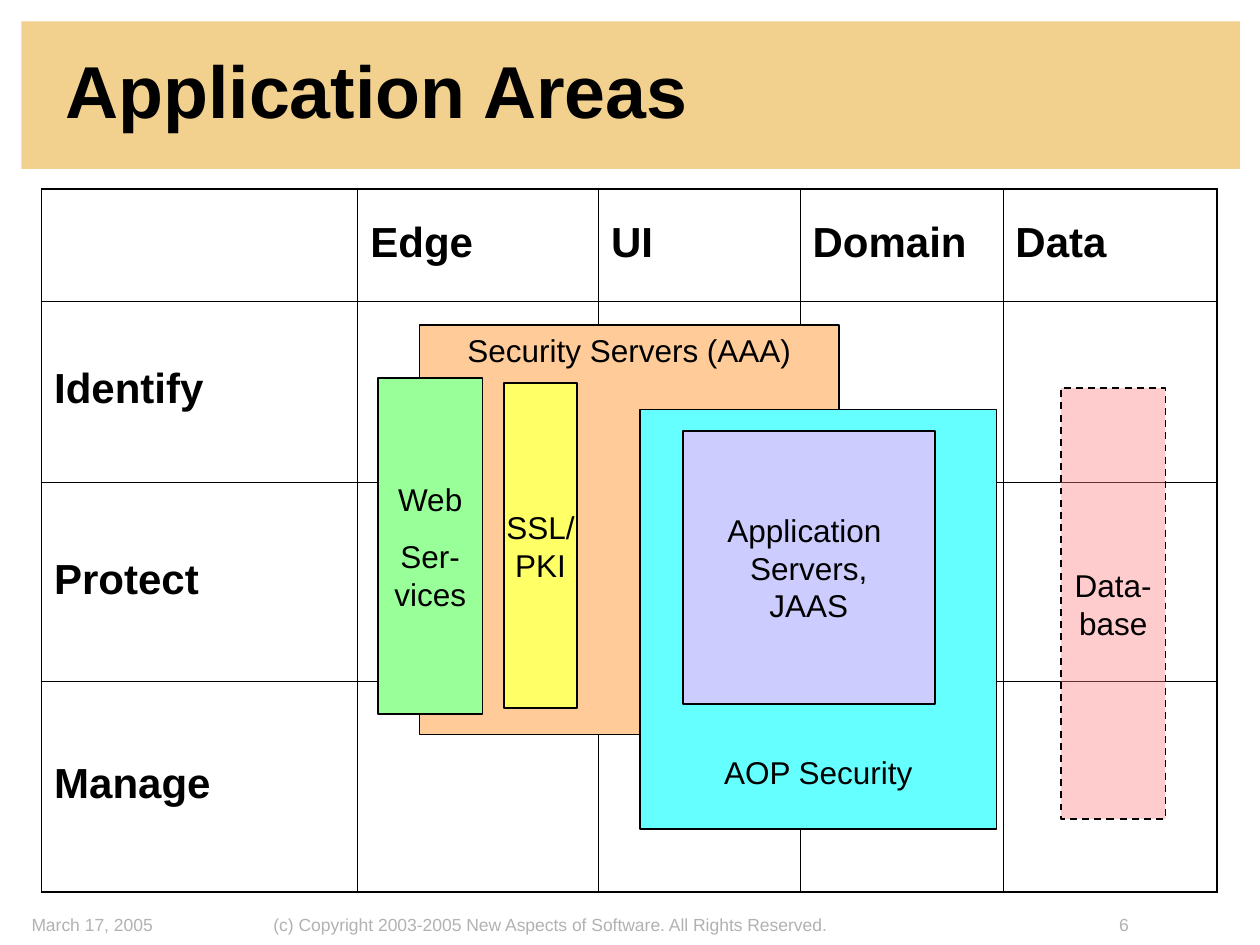
from dataclasses import dataclass

from lxml.etree import SubElement
from pptx import Presentation
from pptx.dml.color import RGBColor
from pptx.enum.dml import MSO_LINE
from pptx.enum.shapes import MSO_SHAPE
from pptx.enum.text import MSO_ANCHOR, MSO_AUTO_SIZE, PP_ALIGN
from pptx.oxml.ns import qn
from pptx.util import Inches, Pt


@dataclass(frozen=True)
class Theme:
    font: str = "Arial"
    ink: str = "000000"
    muted: str = "B2B2B2"
    band: str = "F2D18E"
    orange: str = "FFCC99"
    green: str = "99FF99"
    yellow: str = "FFFF66"
    cyan: str = "66FFFF"
    lavender: str = "CCCCFF"
    pink: str = "FF7C80"
    title_size: float = 42
    heading_size: float = 24
    label_size: float = 18
    footer_size: float = 10
    line_spacing: float = 0.85
    paragraph_gap: float = 11.2
    outer_border: float = 1.08
    inner_border: float = 0.45


class SlideBuilder:
    def __init__(self, slide, theme):
        self.slide = slide
        self.theme = theme

    def format_text(self, text_frame, size, color, bold=False, alignment=PP_ALIGN.LEFT):
        for paragraph in text_frame.paragraphs:
            paragraph.alignment = alignment
            for run in paragraph.runs:
                run.font.name = self.theme.font
                run.font.size = Pt(size)
                run.font.bold = bold
                run.font.color.rgb = RGBColor.from_string(color)

    def add_band(self, left, top, width, height):
        band = self.slide.shapes.add_shape(
            MSO_SHAPE.RECTANGLE, Inches(left), Inches(top), Inches(width), Inches(height))
        band.shadow.inherit = False
        band.fill.solid()
        band.fill.fore_color.rgb = RGBColor.from_string(self.theme.band)
        band.line.fill.background()
        self.slide.shapes.element.insert(2, band.element)

    def set_title(self, text, left, top, width, height):
        title = self.slide.shapes.title
        title.left, title.top = Inches(left), Inches(top)
        title.width, title.height = Inches(width), Inches(height)
        text_frame = title.text_frame
        text_frame.text = text
        text_frame.auto_size = MSO_AUTO_SIZE.NONE
        text_frame.vertical_anchor = MSO_ANCHOR.MIDDLE
        text_frame.paragraphs[0].line_spacing = self.theme.line_spacing
        self.format_text(text_frame, self.theme.title_size, self.theme.ink, bold=True)

    def set_border(self, cell, side, width):
        properties = cell._tc.get_or_add_tcPr()
        line = SubElement(properties, qn(f"a:ln{side}"), w=str(Pt(width)))
        fill = SubElement(line, qn("a:solidFill"))
        SubElement(fill, qn("a:srgbClr"), val=self.theme.ink)

    def add_grid(self, left, top, column_widths, row_heights, column_names, row_names):
        row_count, column_count = len(row_heights), len(column_widths)
        table = self.slide.shapes.add_table(
            row_count, column_count, Inches(left), Inches(top),
            Inches(sum(column_widths)), Inches(sum(row_heights))).table
        table.first_row = False
        table.horz_banding = False
        for column, width in zip(table.columns, column_widths):
            column.width = Inches(width)
        for row, height in zip(table.rows, row_heights):
            row.height = Inches(height)
        for column, name in enumerate(column_names, 1):
            table.cell(0, column).text = name
        for row, name in enumerate(row_names, 1):
            table.cell(row, 0).text = name
        for row in range(row_count):
            for column in range(column_count):
                cell = table.cell(row, column)
                outer_sides = {
                    "L": column == 0,
                    "R": column == column_count - 1,
                    "T": row == 0,
                    "B": row == row_count - 1,
                }
                for side, outer in outer_sides.items():
                    width = self.theme.outer_border if outer else self.theme.inner_border
                    self.set_border(cell, side, width)
                cell.fill.background()
                cell.vertical_anchor = MSO_ANCHOR.MIDDLE
                cell.text_frame.paragraphs[0].line_spacing = self.theme.line_spacing
                self.format_text(
                    cell.text_frame, self.theme.heading_size, self.theme.ink, bold=True)

    def add_area(self, text, left, top, width, height, color,
                 anchor=MSO_ANCHOR.MIDDLE, bottom_margin=0.05, opacity=None, dashed=False):
        area = self.slide.shapes.add_shape(
            MSO_SHAPE.RECTANGLE, Inches(left), Inches(top), Inches(width), Inches(height))
        area.shadow.inherit = False
        area.fill.solid()
        area.fill.fore_color.rgb = RGBColor.from_string(color)
        if opacity is not None:
            fill_color = next(area.element.spPr.iter(qn("a:srgbClr")))
            SubElement(fill_color, qn("a:alpha"), val=str(opacity * 1000))
        area.line.color.rgb = RGBColor.from_string(self.theme.ink)
        area.line.width = Pt(1)
        if dashed:
            area.line.dash_style = MSO_LINE.DASH
        text_frame = area.text_frame
        text_frame.text = text
        text_frame.word_wrap = False
        text_frame.vertical_anchor = anchor
        text_frame.margin_bottom = Inches(bottom_margin)
        for paragraph in text_frame.paragraphs[1:]:
            paragraph.space_before = Pt(self.theme.paragraph_gap)
        self.format_text(
            text_frame, self.theme.label_size, self.theme.ink, alignment=PP_ALIGN.CENTER)

    def add_footer(self, text, left, width, alignment=PP_ALIGN.LEFT):
        footer = self.slide.shapes.add_textbox(
            Inches(left), Inches(7.17), Inches(width), Inches(0.25))
        text_frame = footer.text_frame
        text_frame.text = text
        text_frame.word_wrap = True
        text_frame.vertical_anchor = MSO_ANCHOR.BOTTOM
        text_frame.margin_left = text_frame.margin_right = 0
        text_frame.margin_top = text_frame.margin_bottom = 0
        self.format_text(
            text_frame, self.theme.footer_size, self.theme.muted, alignment=alignment)


def main():
    presentation = Presentation()
    presentation.slide_width = Inches(10)
    presentation.slide_height = Inches(7.5)
    theme = Theme()
    slide = presentation.slides.add_slide(presentation.slide_layouts[5])
    builder = SlideBuilder(slide, theme)

    builder.add_band(0.17, 0.17, 9.67, 1.17)
    builder.set_title("Application Areas", 0.42, 0.24, 8.75, 1.05)
    builder.add_grid(
        0.33, 1.5, [2.51, 1.91, 1.6, 1.61, 1.7], [0.89, 1.44, 1.58, 1.67],
        ["Edge", "UI", "Domain", "Data"], ["Identify", "Protect", "Manage"])

    builder.add_area("Security Servers (AAA)", 3.33, 2.58, 3.33, 3.25, theme.orange,
                     anchor=MSO_ANCHOR.TOP)
    builder.add_area("Web\nSer-\vvices", 3, 3, 0.83, 2.67, theme.green)
    builder.add_area("SSL/\vPKI", 4, 3.04, 0.58, 2.58, theme.yellow)
    builder.add_area("AOP Security", 5.08, 3.25, 2.83, 3.33, theme.cyan,
                     anchor=MSO_ANCHOR.BOTTOM, bottom_margin=0.3)
    builder.add_area("Application \vServers,\vJAAS", 5.42, 3.42, 2, 2.17, theme.lavender)
    builder.add_area("Data-\vbase", 8.42, 3.08, 0.83, 3.42, theme.pink,
                     opacity=39, dashed=True)

    builder.add_footer(
        "(c) Copyright 2003-2005 New Aspects of Software. All Rights Reserved.", 2.17, 6.5)
    builder.add_footer("6", 8.67, 0.5, PP_ALIGN.CENTER)
    builder.add_footer("March 17, 2005", 0.25, 1.78)

    presentation.save("out.pptx")


if __name__ == "__main__":
    main()
